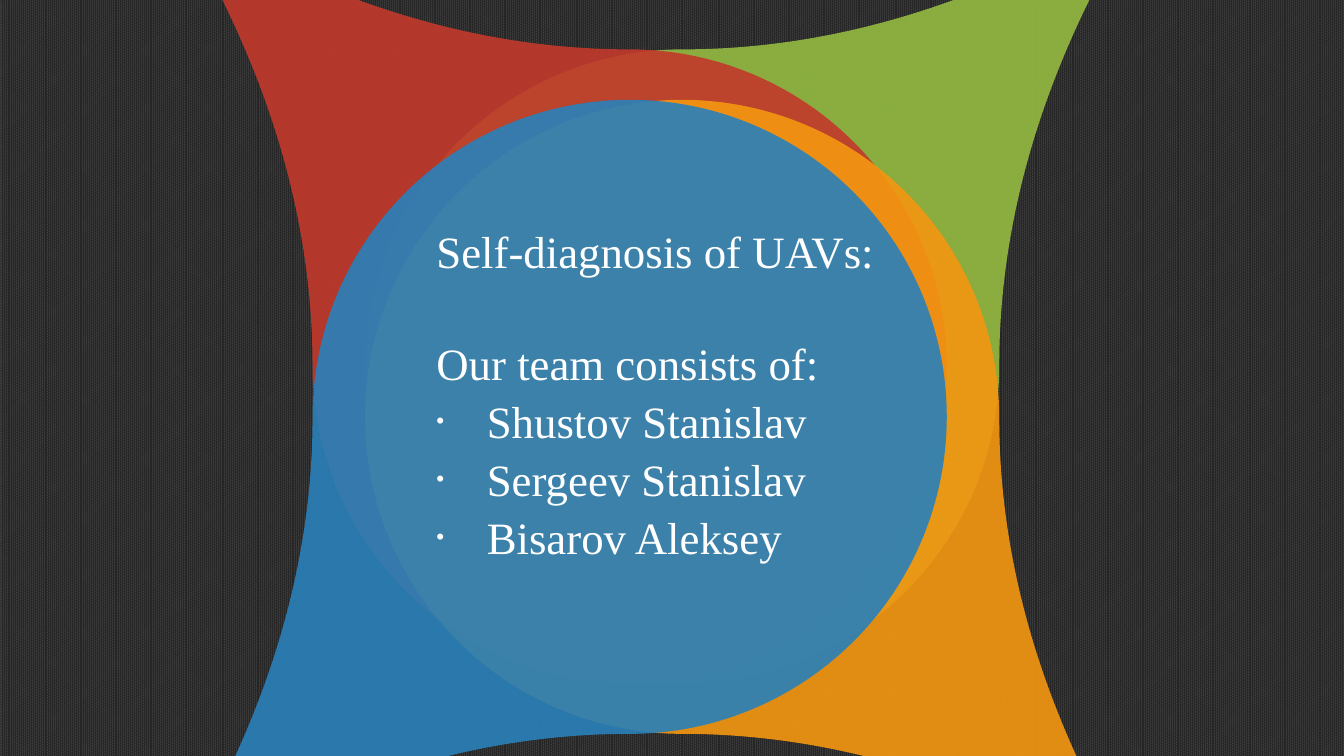
"""Build the UAV self-diagnosis team slide with four overlapping teardrops."""
from dataclasses import dataclass

from pptx import Presentation
from pptx import util as u
from pptx.dml.color import RGBColor
from pptx.enum import dml, shapes
from pptx.oxml.ns import qn


@dataclass(frozen=True)
class Theme:
    green: str = "94BA41"
    red: str = "C1392B"
    orange: str = "F39712"
    blue: str = "2A80B9"
    dark: str = "262626"
    weave: str = "404040"
    white: str = "FFFFFF"
    font: str = "Times New Roman"
    size: int = 32
    line_spacing: float = 1.08
    opacity: int = 91


theme = Theme()

presentation = Presentation()
presentation.slide_width = u.Inches(13.33)
presentation.slide_height = u.Inches(7.5)
slide = presentation.slides.add_slide(presentation.slide_layouts[6])

background = slide.background.fill
background.patterned()
background.pattern = dml.MSO_PATTERN.PERCENT_90
background.fore_color.rgb = RGBColor.from_string(theme.dark)
background.back_color.rgb = RGBColor.from_string(theme.weave)

LEFT, RIGHT, UPPER, LOWER, DIAMETER = 3.1, 3.62, 0.49, 0.99, 6.29
petals = [
    (RIGHT, UPPER, 0, theme.green),
    (LEFT, UPPER, 270, theme.red),
    (RIGHT, LOWER, 90, theme.orange),
    (LEFT, LOWER, 180, theme.blue),
]
for left, top, rotation, color in petals:
    petal = slide.shapes.add_shape(
        shapes.MSO_SHAPE.TEAR, u.Inches(left), u.Inches(top),
        u.Inches(DIAMETER), u.Inches(DIAMETER))
    petal.adjustments[0] = 1.443
    petal.rotation = rotation
    petal.shadow.inherit = False
    petal.line.fill.background()
    petal.fill.solid()
    petal.fill.fore_color.rgb = RGBColor.from_string(color)
    color_element = petal.fill._xPr.find(qn("a:solidFill"))[0]
    alpha = color_element.makeelement(qn("a:alpha"), {"val": str(theme.opacity * 1000)})
    color_element.append(alpha)

text_box = slide.shapes.add_textbox(
    u.Inches(4.23), u.Inches(2.13), u.Inches(5.27), u.Inches(3.36))
frame = text_box.text_frame
frame.word_wrap = True

headings = ["Self-diagnosis of UAVs:", "Our team consists of:"]
members = ["Shustov Stanislav", "Sergeev Stanislav", "Bisarov Aleksey"]
frame.text = "\n".join(headings + members)
for paragraph in frame.paragraphs:
    paragraph.line_spacing = theme.line_spacing
    paragraph.font.name = theme.font
    paragraph.font.size = u.Pt(theme.size)
    paragraph.font.color.rgb = RGBColor.from_string(theme.white)
frame.paragraphs[1].space_before = u.Pt(38.3)

for paragraph in frame.paragraphs[len(headings):]:
    properties = paragraph._p.get_or_add_pPr()
    properties.set("marL", str(u.Inches(0.5)))
    properties.set("indent", str(-u.Inches(0.5)))
    bullet_parts = [
        ("a:buSzPct", {"val": "50000"}),
        ("a:buFont", {"typeface": "Arial"}),
        ("a:buChar", {"char": "•"}),
    ]
    defaults = properties.find(qn("a:defRPr"))
    for tag, attributes in bullet_parts:
        defaults.addprevious(properties.makeelement(qn(tag), attributes))

presentation.save("out.pptx")
